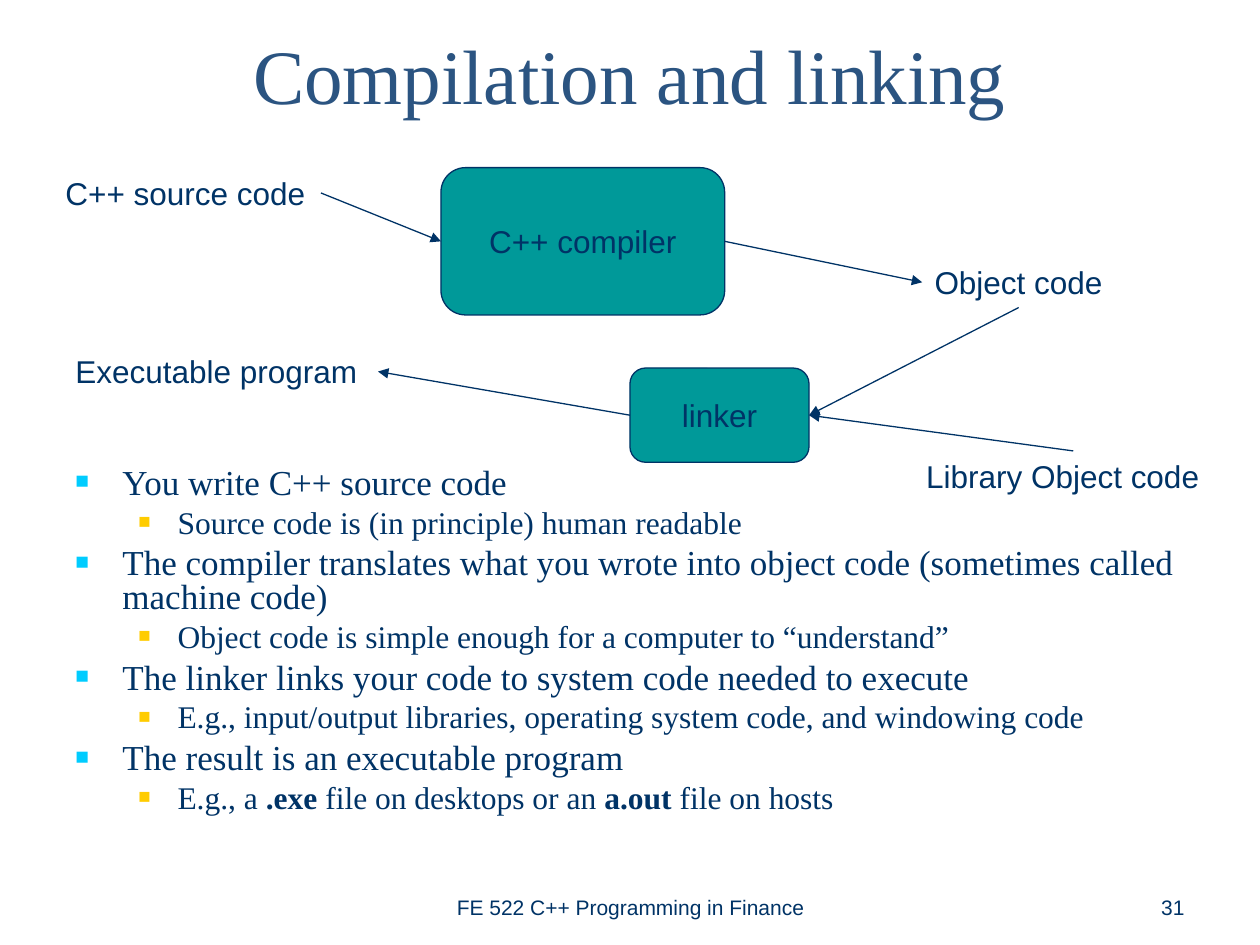
import lxml.etree
import pptx
import pptx.dml.color
import pptx.enum.shapes
import pptx.enum.text
import pptx.oxml.ns
import pptx.util

Cm, Pt = pptx.util.Cm, pptx.util.Pt
RGBColor = pptx.dml.color.RGBColor
Align, Anchor = pptx.enum.text.PP_ALIGN, pptx.enum.text.MSO_ANCHOR
qn = pptx.oxml.ns.qn

NAVY = RGBColor(0x00, 0x33, 0x66)
TITLE_BLUE = RGBColor(0x2B, 0x54, 0x81)
TEAL = RGBColor(0x00, 0x99, 0x99)
CYAN = RGBColor(0x00, 0xCC, 0xFF)
GOLD = RGBColor(0xFF, 0xCC, 0x00)
SERIF, SANS = "Times New Roman", "Arial"
TOP, LEFT, BOTTOM, RIGHT = range(4)

LEVELS = [
    dict(size=20, before=5, margin=0.95, hanging=0.95, bullet=CYAN),
    dict(size=18, before=4.5, margin=2.06, hanging=0.79, bullet=GOLD),
]
POINTS = [
    (0, ["You write C++ source code"]),
    (1, ["Source code is (in principle) human readable"]),
    (0, ["The compiler translates what you wrote into object code (sometimes called machine code)"]),
    (1, ["Object code is simple enough for a computer to “understand”"]),
    (0, ["The linker links your code to system code needed to execute"]),
    (1, ["E.g., input/output libraries, operating system code, and windowing code"]),
    (0, ["The result is an executable program"]),
    (1, ["E.g., a ", ".exe", " file on desktops or an ", "a.out", " file on hosts"]),
]
BLOCKS = {
    "C++ compiler": (7.82, 0, 5.72, 2.97),
    "linker": (11.63, 4.04, 3.61, 1.9),
}
LABELS = {
    "C++ source code": (0, 0, 5.4, False),
    "Object code": (17.52, 1.8, 3.89, False),
    "Executable program": (0.2, 3.6, 6.35, True),
    "Library Object code": (17.35, 5.71, 6.43, True),
}
LABEL_HEIGHT = 1.02
ARROWS = [
    ("C++ source code", RIGHT, "C++ compiler", LEFT),
    ("C++ compiler", RIGHT, "Object code", LEFT),
    ("Object code", BOTTOM, "linker", RIGHT),
    ("linker", LEFT, "Executable program", RIGHT),
    ("Library Object code", TOP, "linker", RIGHT),
]


def write_text(para, text, size=18, font=SANS, color=NAVY, align=Align.LEFT, bold=False):
    """Append one formatted span of text to a paragraph."""
    para.alignment = align
    span = para.add_run()
    span.text = text
    span.font.size = Pt(size)
    span.font.name = font
    span.font.bold = bold
    span.font.color.rgb = color


def add_box(page, left, top, width, height, anchor=Anchor.TOP, wrap=True):
    """Add an empty text box measured in centimetres."""
    box = page.shapes.add_textbox(Cm(left), Cm(top), Cm(width), Cm(height))
    box.text_frame.word_wrap = wrap
    box.text_frame.vertical_anchor = anchor
    return box


def set_bullet(para, color, margin, hanging):
    """Give a paragraph a hanging square bullet."""
    properties = para._p.get_or_add_pPr()
    properties.set("marL", str(Cm(margin)))
    properties.set("indent", str(-Cm(hanging)))
    tint = lxml.etree.SubElement(properties, qn("a:buClr"))
    lxml.etree.SubElement(tint, qn("a:srgbClr"), val=str(color))
    lxml.etree.SubElement(properties, qn("a:buSzPct"), val="65000")
    lxml.etree.SubElement(properties, qn("a:buFont"), typeface=SANS)
    lxml.etree.SubElement(properties, qn("a:buChar"), char="■")


def add_title(page, left, top, width, height):
    """Place the centred slide title."""
    box = add_box(page, left, top, width, height, Anchor.MIDDLE)
    write_text(box.text_frame.paragraphs[0], "Compilation and linking",
               size=44, font=SERIF, color=TITLE_BLUE, align=Align.CENTER)


def add_points(page, left, top, width, height):
    """Place the two-level bullet list."""
    frame = add_box(page, left, top, width, height).text_frame
    for index, (level, spans) in enumerate(POINTS):
        style = LEVELS[level]
        para = frame.add_paragraph() if index else frame.paragraphs[0]
        para.level = level
        set_bullet(para, style["bullet"], style["margin"], style["hanging"])
        para.line_spacing = 0.8
        if index:
            para.space_before = Pt(style["before"])
        for order, text in enumerate(spans):
            write_text(para, text, size=style["size"], font=SERIF, bold=order % 2 == 1)


def add_block(page, text, left, top, width, height):
    """Add a rounded process block with its name centred."""
    block = page.shapes.add_shape(pptx.enum.shapes.MSO_SHAPE.ROUNDED_RECTANGLE,
                                  Cm(left), Cm(top), Cm(width), Cm(height))
    block.shadow.inherit = False
    block.fill.solid()
    block.fill.fore_color.rgb = TEAL
    block.line.color.rgb = NAVY
    block.line.width = Pt(0.75)
    block.text_frame.word_wrap = False
    block.text_frame.vertical_anchor = Anchor.MIDDLE
    write_text(block.text_frame.paragraphs[0], text, align=Align.CENTER)
    return block


def add_label(page, text, left, top, width, wrap):
    """Add a one-line label that grows with its text."""
    label = add_box(page, left, top, width, LABEL_HEIGHT, wrap=wrap)
    label.text_frame.auto_size = pptx.enum.text.MSO_AUTO_SIZE.SHAPE_TO_FIT_TEXT
    write_text(label.text_frame.paragraphs[0], text)
    return label


def add_arrow(page, source, source_side, target, target_side):
    """Join two shapes with an arrow."""
    arrow = page.shapes.add_connector(pptx.enum.shapes.MSO_CONNECTOR.STRAIGHT, 0, 0, 0, 0)
    arrow.begin_connect(source, source_side)
    arrow.end_connect(target, target_side)
    arrow.line.color.rgb = NAVY
    arrow.line.width = Pt(0.75)
    lxml.etree.SubElement(arrow.line._get_or_add_ln(), qn("a:tailEnd"), type="triangle")
    lxml.etree.SubElement(arrow._element.spPr, qn("a:effectLst"))


def add_diagram(page, left, top):
    """Place the flow from source code to executable program."""
    nodes = {}
    for text, (x, y, width, height) in BLOCKS.items():
        nodes[text] = add_block(page, text, left + x, top + y, width, height)
    for text, (x, y, width, wrap) in LABELS.items():
        nodes[text] = add_label(page, text, left + x, top + y, width, wrap)
    for source, source_side, target, target_side in ARROWS:
        add_arrow(page, nodes[source], source_side, nodes[target], target_side)


def add_footer(page, left, top, width, height):
    """Place the course name and the page number."""
    parts = [
        ("FE 522 C++ Programming in Finance", 0, 8.05, Align.CENTER),
        ("31", width - 5.92, 5.92, Align.RIGHT),
    ]
    for text, x, part_width, align in parts:
        box = add_box(page, left + x, top, part_width, height, Anchor.BOTTOM)
        write_text(box.text_frame.paragraphs[0], text, size=12, align=align)


def main():
    """Build and save the deck."""
    deck = pptx.Presentation()
    deck.slide_width, deck.slide_height = Cm(25.4), Cm(19.05)
    page = deck.slides.add_slide(deck.slide_layouts[6])
    add_title(page, 1.27, 0, 22.86, 2.97)
    add_points(page, 1.27, 9.32, 22.86, 8.26)
    add_diagram(page, 1.07, 3.38)
    add_footer(page, 8.69, 17.35, 15.44, 1.32)
    deck.save("out.pptx")


if __name__ == "__main__":
    main()
